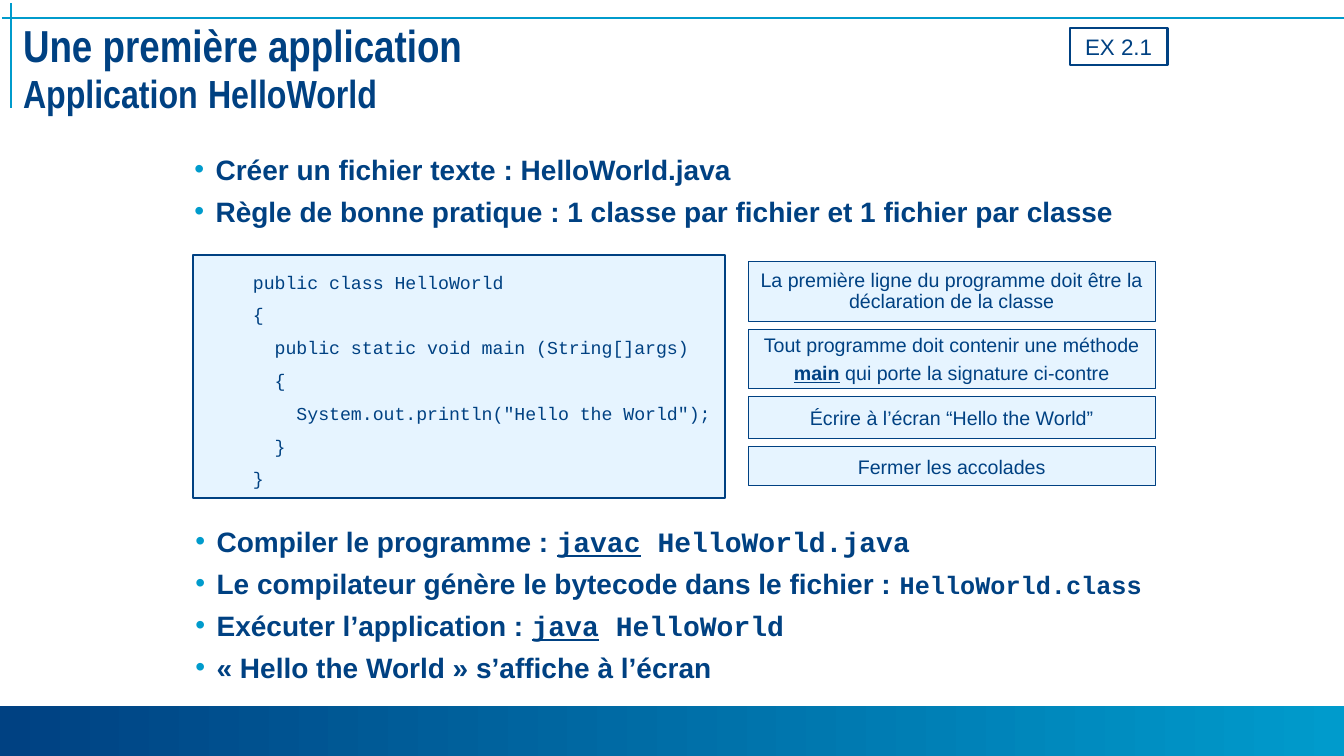
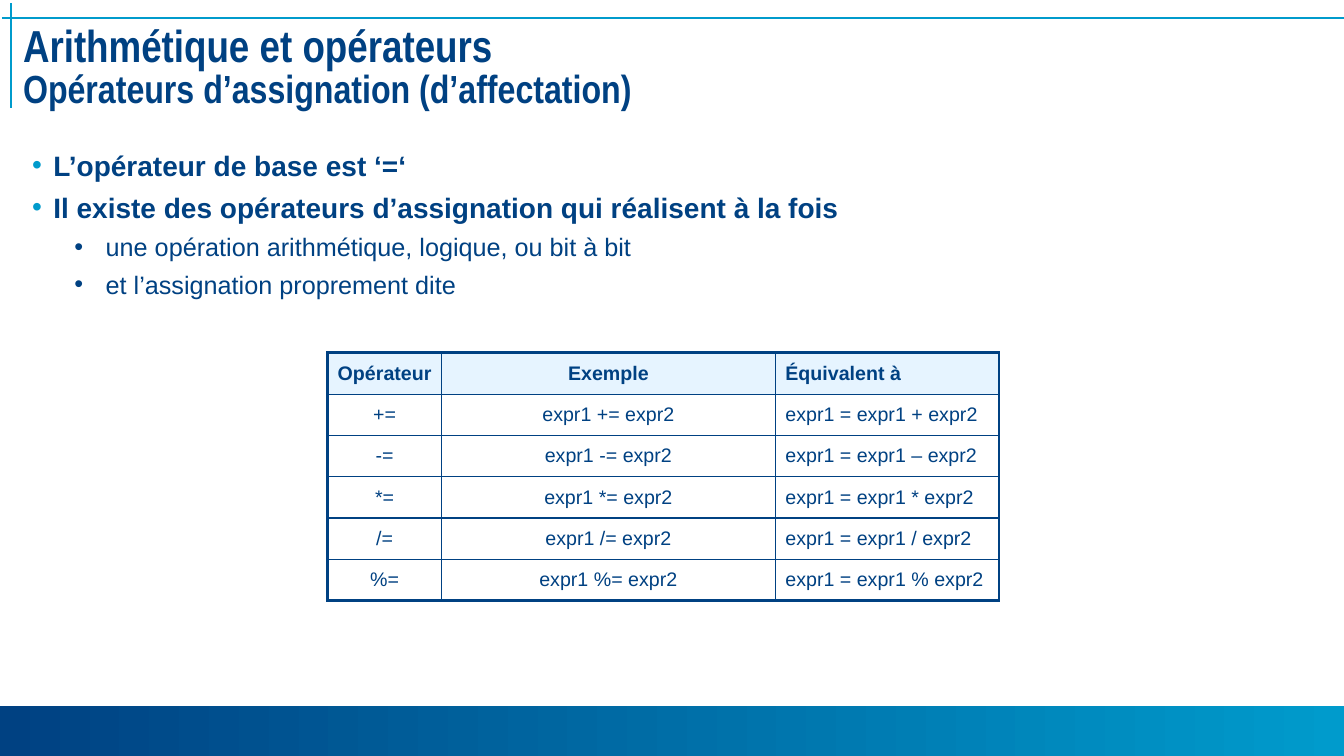
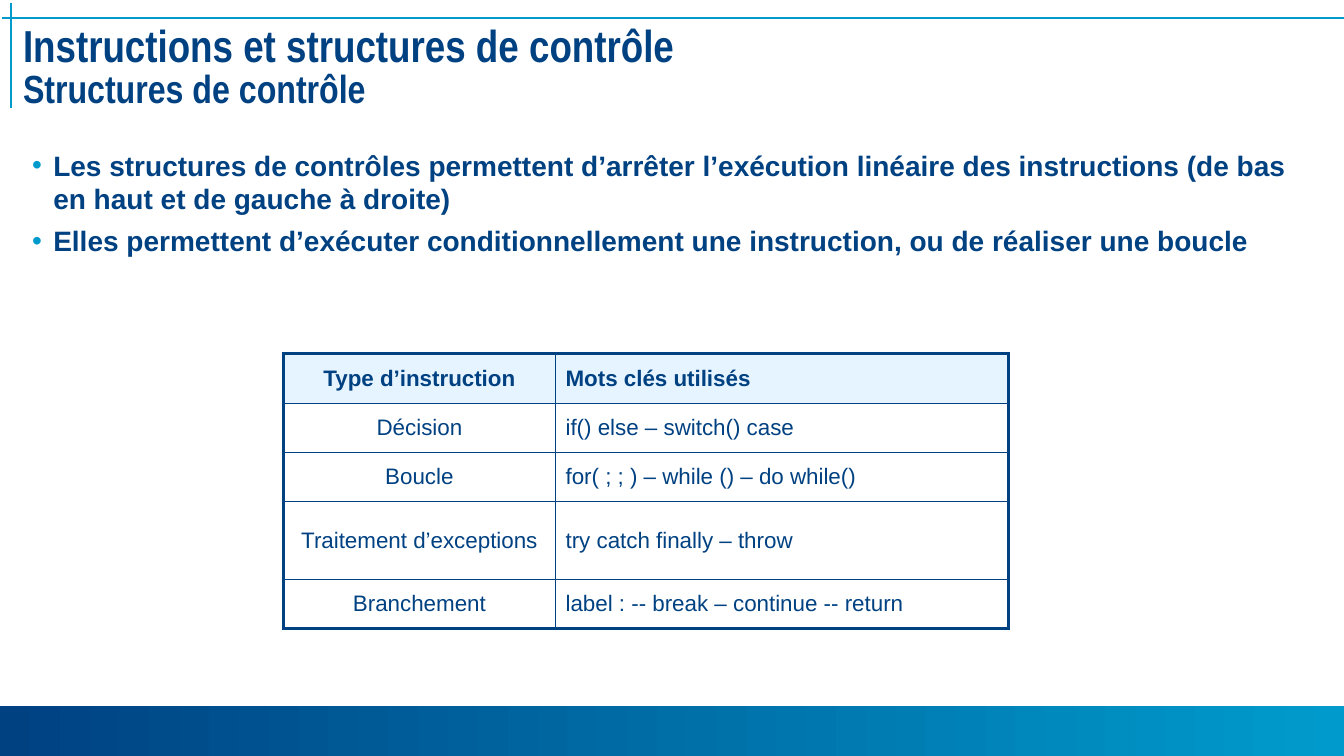
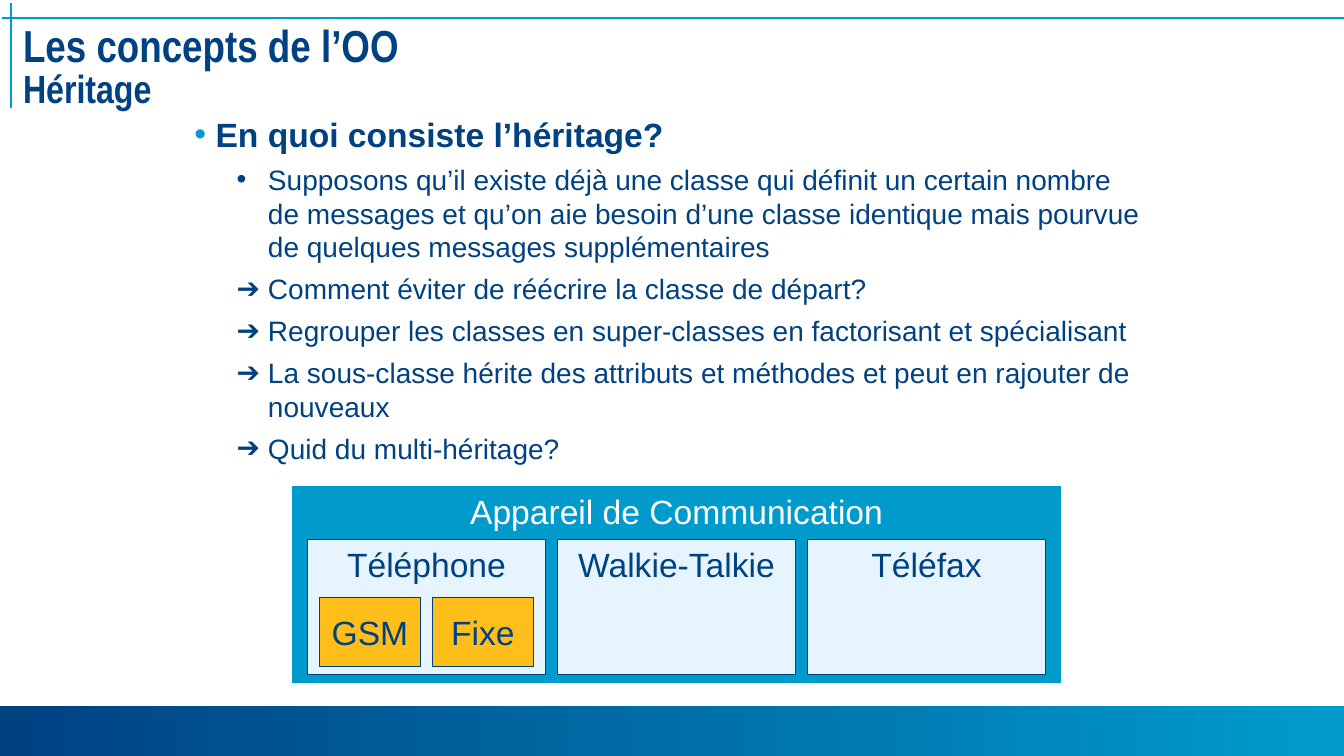
from lxml.etree import SubElement as Sub
from pptx import Presentation
from pptx.dml.color import RGBColor as RGB
from pptx.enum.shapes import MSO_CONNECTOR as Conn, MSO_SHAPE as Shape
from pptx.enum.text import MSO_ANCHOR as Anchor, PP_ALIGN as Align
from pptx.oxml.ns import qn
from pptx.util import Inches, Pt

HUES = {"navy": "004182", "cyan": "009BCC", "pale": "E6F4FF", "gold": "FFBE19", "white": "FFFFFF"}
SANS, SLIM, MONO = "Arial", "Arial Narrow", "Courier New"
WIDE, TALL = 13.33, 7.5
BULLETS = {0: ("•", "cyan", 0.21, 0.21), 1: ("•", "navy", 0.73, 0.31), 2: ("➔", "navy", 0.73, 0.31)}


def tint(hue):
    """Return the named colour."""
    return RGB.from_string(HUES[hue])


def style(font, **looks):
    """Set font attributes by name, with the size in points."""
    for key, val in looks.items():
        setattr(font, key, Pt(val) if key == "size" else val)


def say(par, runs, size, hue="navy", name=SANS, bold=False):
    """Write a string, or a list of strings and (string, looks) pairs, in a paragraph."""
    style(par.font, size=size, name=name, bold=bold)
    par.font.color.rgb = tint(hue)
    for item in [runs] if isinstance(runs, str) else runs:
        text, looks = (item, {}) if isinstance(item, str) else item
        if text == "\n":
            par.add_line_break()
            continue
        run = par.add_run()
        run.text = text
        style(run.font, **looks)


def pars(frame, items):
    """Yield a paragraph of the frame for each item."""
    for i, item in enumerate(items):
        yield i, frame.add_paragraph() if i else frame.paragraphs[0], item


def rect(slide, box, fill=None, line="navy", width=0.75):
    """Add a flat rectangle."""
    shape = slide.shapes.add_shape(Shape.RECTANGLE, *map(Inches, box))
    shape.shadow.inherit = False
    if fill:
        shape.fill.solid()
        shape.fill.fore_color.rgb = tint(fill)
    else:
        shape.fill.background()
    if line:
        shape.line.color.rgb = tint(line)
        shape.line.width = Pt(width)
    else:
        shape.line.fill.background()
    return shape


def label(shape, lines, size, anchor=Anchor.TOP, wrap=True, lead=None, gap=0, **looks):
    """Write centred lines in a shape."""
    frame = shape.text_frame
    frame.word_wrap = wrap
    frame.vertical_anchor = anchor
    for i, par, runs in pars(frame, lines):
        par.alignment = Align.CENTER
        if lead:
            par.line_spacing = lead
        if i and gap:
            par.space_before = Pt(gap)
        say(par, runs, size, **looks)


def bullets(slide, box, items):
    """Add a bulleted list of (level, size, runs)."""
    frame = slide.shapes.add_textbox(*map(Inches, box)).text_frame
    frame.word_wrap = True
    for i, par, (level, size, runs) in pars(frame, items):
        mark, hue, left, hang = BULLETS[level]
        props = par._p.get_or_add_pPr()
        props.set("marL", str(Inches(left)))
        props.set("indent", str(-Inches(hang)))
        Sub(Sub(props, qn("a:buClr")), qn("a:srgbClr"), val=HUES[hue])
        Sub(props, qn("a:buFont"), typeface=SANS)
        Sub(props, qn("a:buChar"), char=mark)
        if i:
            par.space_before = Pt(round(size * 0.3, 1))
        say(par, runs, size, bold=level == 0)


def rule(slide, *ends):
    """Add a thin cyan line."""
    line = slide.shapes.add_connector(Conn.STRAIGHT, *map(Inches, ends))
    line.line.color.rgb = tint("cyan")
    line.line.width = Pt(1)
    Sub(line._element.spPr, qn("a:effectLst"))


def base(deck, head, sub):
    """Add a slide with its band, rules and two-line title."""
    slide = deck.slides.add_slide(deck.slide_layouts[6])
    band = rect(slide, (0, 7, WIDE, TALL - 7), line=None)
    band.fill.gradient()
    band.fill.gradient_angle = 0
    for stop, hue in zip(band.fill.gradient_stops, ("navy", "cyan")):
        stop.color.rgb = tint(hue)
    rule(slide, 0.02, 0.18, WIDE, 0.18)
    rule(slide, 0.11, 0.03, 0.11, 1.07)
    frame = slide.shapes.add_textbox(*map(Inches, (0.13, 0.22, 13.11, 1.01))).text_frame
    frame.word_wrap = True
    frame.margin_top = frame.margin_bottom = Inches(0.04)
    par = frame.paragraphs[0]
    par.line_spacing = 0.85
    say(par, [head, "\n", *sub], 32, name=SLIM, bold=True)
    return slide


def edge(cell, side, width):
    """Draw one border of a cell."""
    line = Sub(cell._tc.get_or_add_tcPr(), qn("a:ln" + side), w=str(Pt(width)))
    Sub(Sub(line, qn("a:solidFill")), qn("a:srgbClr"), val=HUES["navy"])


def grid(slide, left, top, cols, highs, rows, size):
    """Add a table with a thick frame and a pale header."""
    box = (left, top, sum(cols), sum(highs))
    table = slide.shapes.add_table(len(rows), len(cols), *map(Inches, box)).table
    table.first_row = table.horz_banding = False
    for col, wide in zip(table.columns, cols):
        col.width = Inches(wide)
    for y, (row, high) in enumerate(zip(rows, highs)):
        table.rows[y].height = Inches(high)
        for x, text in enumerate(row):
            cell = table.cell(y, x)
            last = x == len(cols) - 1
            outer = {"L": x == 0, "R": last, "T": y == 0, "B": y == len(rows) - 1}
            for side, thick in outer.items():
                edge(cell, side, 2.25 if thick else 1)
            if y:
                cell.fill.background()
            else:
                cell.fill.solid()
                cell.fill.fore_color.rgb = tint("pale")
            cell.vertical_anchor = Anchor.MIDDLE
            if not last:
                cell.margin_left = cell.margin_right = Inches(0.05)
            par = cell.text_frame.paragraphs[0]
            par.alignment = Align.LEFT if last else Align.CENTER
            say(par, text, size, bold=y == 0)


def code(slide, box, lines):
    """Add a framed code listing."""
    frame = rect(slide, box, "pale", width=1.5).text_frame
    frame.word_wrap = True
    frame.vertical_anchor = Anchor.TOP
    for _, par, text in pars(frame, lines):
        par._p.get_or_add_pPr().set("marL", str(Inches(0.5)))
        par.alignment = Align.LEFT
        par.line_spacing = 1.5
        say(par, text, 13, name=MONO)


def steps(slide, left, top, wide, notes, gap=0.08):
    """Stack note boxes of (height, line spacing, lines)."""
    for high, lead, lines in notes:
        box = rect(slide, (left, top, wide, high), "pale")
        label(box, lines, 14, Anchor.MIDDLE, lead=lead, gap=3)
        top += high + gap


def family(slide, left, top, wide, high):
    """Draw the nested boxes of the device family."""
    outer = rect(slide, (left, top, wide, high), "cyan", "white")
    label(outer, ["Appareil de Communication"], 24, wrap=False, hue="white")
    for i, name in enumerate(("Téléphone", "Walkie-Talkie", "Téléfax")):
        box = rect(slide, (left + 0.16 + i * 2.48, top + 0.53, 2.36, 1.34), "pale")
        label(box, [name], 24)
    for i, name in enumerate(("GSM", "Fixe")):
        box = rect(slide, (left + 0.28 + i * 1.12, top + 1.11, 1, 0.68), "gold")
        label(box, [name], 24, Anchor.MIDDLE, wrap=False)


def hello(deck):
    """Build the first application slide."""
    small = {"size": 28}
    mono, under = {"name": MONO}, {"name": MONO, "underline": True}
    slide = base(deck, "Une première application", [("Application", small), " ", ("HelloWorld", small)])
    bullets(slide, (1.83, 1.46, 9.64, 1.27), [
        (0, 20, "Créer un fichier texte : HelloWorld.java"),
        (0, 20, "Règle de bonne pratique : 1 classe par fichier et 1 fichier par classe"),
    ])
    steps(slide, 7.42, 2.59, 4.04, [
        (0.6, 0.9, ["La première ligne du programme doit être la déclaration de la classe"]),
        (0.58, None, ["Tout programme doit contenir une méthode",
                      [("main", {"bold": True, "underline": True}), " qui porte la signature ci-contre"]]),
        (0.42, None, ["Écrire à l’écran “Hello the World”"]),
        (0.39, None, ["Fermer les accolades"]),
    ])
    code(slide, (1.91, 2.53, 5.28, 2.41), [
        "public class HelloWorld",
        "{",
        "  public static void main (String[]args)",
        "  {",
        '    System.out.println("Hello the World");',
        "  }",
        "}",
    ])
    bullets(slide, (1.84, 5.15, 9.64, 1.7), [
        (0, 20, ["Compiler le programme : ", ("javac", under), (" HelloWorld.java", mono)]),
        (0, 20, ["Le compilateur génère le bytecode dans le fichier : ",
                 ("HelloWorld.class", {"name": MONO, "size": 18})]),
        (0, 20, ["Exécuter l’application : ", ("java", under), (" HelloWorld", mono)]),
        (0, 20, "« Hello the World » s’affiche à l’écran"),
    ])
    label(rect(slide, (10.61, 0.28, 0.97, 0.37), width=1.5), ["EX 2.1"], 16)


def assign(deck):
    """Build the assignment operators slide."""
    slide = base(deck, "Arithmétique et opérateurs",
                 [("Opérateurs d’assignation (d’affectation)", {"size": 28})])
    bullets(slide, (0.22, 1.42, 12.89, 1.8), [
        (0, 20, "L’opérateur de base est ‘=‘"),
        (0, 20, "Il existe des opérateurs d’assignation qui réalisent à la fois"),
        (1, 18, "une opération arithmétique, logique, ou bit à bit"),
        (1, 18, "et l’assignation proprement dite"),
    ])
    rows = [("Opérateur", "Exemple", "Équivalent à")]
    rows += [(f"{op}=", f"expr1 {op}= expr2", f"expr1 = expr1 {sign} expr2")
             for op, sign in zip("+-*/%", "+–*/%")]
    grid(slide, 3.25, 3.5, (1.13, 3.31, 2.22), [0.41] * len(rows), rows, 14)


def control(deck):
    """Build the control structures slide."""
    slide = base(deck, "Instructions et structures de contrôle",
                 [("Structures de contrôle", {"size": 28})])
    bullets(slide, (0.22, 1.42, 12.89, 1.8), [
        (0, 20, "Les structures de contrôles permettent d’arrêter l’exécution linéaire "
                "des instructions (de bas en haut et de gauche à droite)"),
        (0, 20, "Elles permettent d’exécuter conditionnellement une instruction, "
                "ou de réaliser une boucle"),
    ])
    grid(slide, 2.81, 3.51, (2.7, 4.49), (0.49, 0.49, 0.49, 0.77, 0.49), [
        ("Type d’instruction", "Mots clés utilisés"),
        ("Décision", "if() else – switch() case"),
        ("Boucle", "for( ; ; ) – while () – do while()"),
        ("Traitement d’exceptions", "try catch finally – throw"),
        ("Branchement", "label : -- break – continue -- return"),
    ], 16)


def legacy(deck):
    """Build the inheritance slide."""
    slide = base(deck, "Les concepts de l’OO", [("Héritage", {"size": 28})])
    bullets(slide, (1.83, 1.08, 9.67, 3.7), [
        (0, 24, "En quoi consiste l’héritage?"),
        (1, 20, "Supposons qu’il existe déjà une classe qui définit un certain nombre "
                "de messages et qu’on aie besoin d’une classe identique mais pourvue "
                "de quelques messages supplémentaires"),
        (2, 20, "Comment éviter de réécrire la classe de départ?"),
        (2, 20, "Regrouper les classes en super-classes en factorisant et spécialisant"),
        (2, 20, "La sous-classe hérite des attributs et méthodes et peut en rajouter de nouveaux"),
        (2, 20, "Quid du multi-héritage?"),
    ])
    family(slide, 2.89, 4.82, 7.64, 1.96)


def main():
    """Build and save the deck."""
    deck = Presentation()
    deck.slide_width, deck.slide_height = Inches(WIDE), Inches(TALL)
    for build in (hello, assign, control, legacy):
        build(deck)
    deck.save("out.pptx")


if __name__ == "__main__":
    main()
